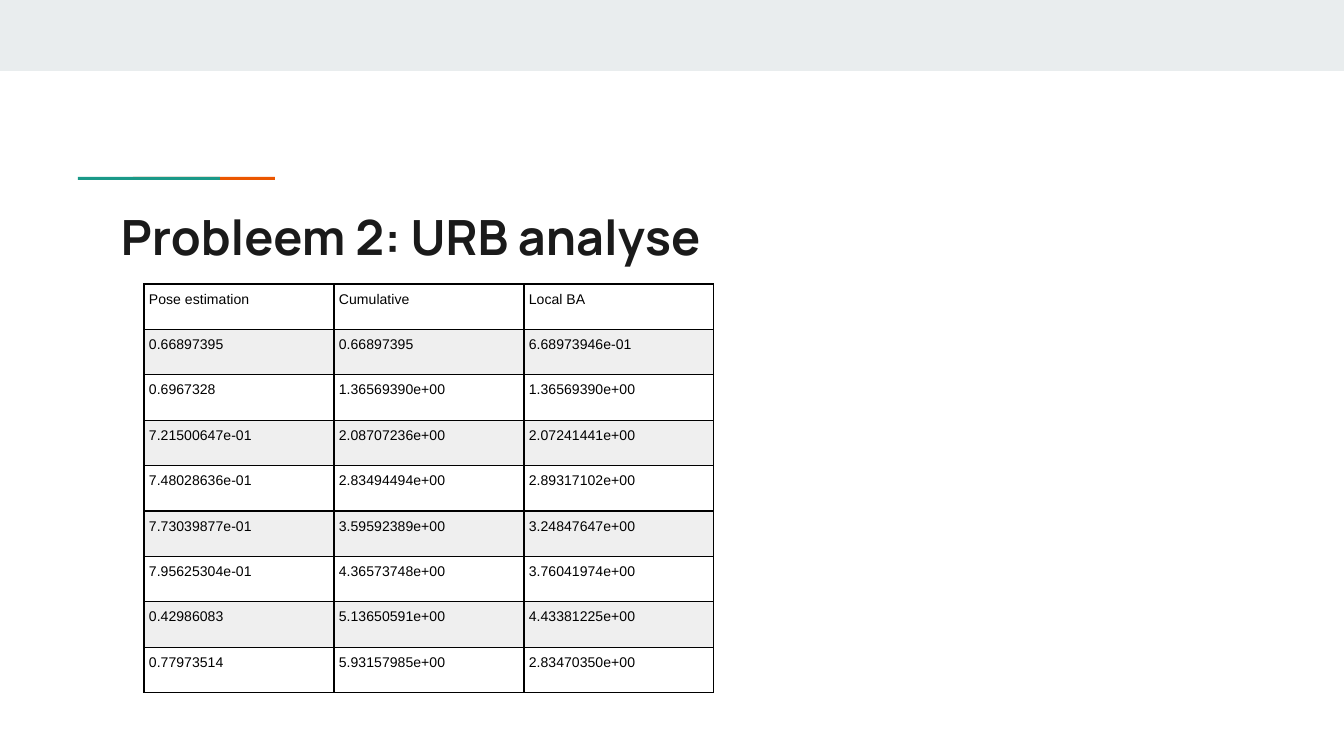
import pptx
import pptx.util
import pptx.dml.color
import pptx.enum.shapes
import pptx.enum.text
import pptx.oxml
import pptx.oxml.ns

# Content
TITLE = "Probleem 2: URB analyse"
ROWS = [
    ("Pose estimation", "Cumulative", "Local BA"),
    ("0.66897395", "0.66897395", "6.68973946e-01"),
    ("0.6967328", "1.36569390e+00", "1.36569390e+00"),
    ("7.21500647e-01", "2.08707236e+00", "2.07241441e+00"),
    ("7.48028636e-01", "2.83494494e+00", "2.89317102e+00"),
    ("7.73039877e-01", "3.59592389e+00", "3.24847647e+00"),
    ("7.95625304e-01", "4.36573748e+00", "3.76041974e+00"),
    ("0.42986083", "5.13650591e+00", "4.43381225e+00"),
    ("0.77973514", "5.93157985e+00", "2.83470350e+00"),
]
COLORS = {"band": "E9EDEE", "orange": "EB5600", "teal": "1A9988",
          "title": "1A1A1A", "text": "000000", "plain": "FFFFFF",
          "stripe": "EFEFEF", "border": "000000"}
# Name of colour, then left, top, width, height; teal overlaps orange
BARS = [("band", 0, 0, 1344, 71),
        ("orange", 133, 177, 142, 3),
        ("teal", 78, 177, 142, 3)]
SIZE = (1344, 756)
GRID = (144, 284, 570, 409)
SCALE = 914400 / 134.4


def px(n):
    return pptx.util.Emu(round(n * SCALE))


def color(name):
    return pptx.dml.color.RGBColor.from_string(COLORS[name])


def write(par, text, font, size, tint, bold=False):
    run = par.add_run()
    run.text = text
    run.font.name = font
    run.font.size = pptx.util.Pt(size)
    run.font.bold = bold
    run.font.color.rgb = color(tint)


def inset(box, gap):
    box.margin_left = box.margin_right = px(gap)
    box.margin_top = box.margin_bottom = px(gap)


def border(cell):
    props = cell._tc.get_or_add_tcPr()
    for i, side in enumerate(("lnL", "lnR", "lnT", "lnB")):
        props.insert(i, pptx.oxml.parse_xml(
            f'<a:{side} {pptx.oxml.ns.nsdecls("a")} w="9525"><a:solidFill>'
            f'<a:srgbClr val="{COLORS["border"]}"/></a:solidFill></a:{side}>'))


deck = pptx.Presentation()
deck.slide_width, deck.slide_height = map(px, SIZE)
slide = deck.slides.add_slide(deck.slide_layouts[6])

# Top band and accent line
for tint, *place in BARS:
    bar = slide.shapes.add_shape(
        pptx.enum.shapes.MSO_SHAPE.RECTANGLE, *map(px, place))
    bar.shadow.inherit = False
    bar.fill.solid()
    bar.fill.fore_color.rgb = color(tint)
    bar.line.fill.background()

# Title
frame = slide.shapes.add_textbox(*map(px, (108, 194, 1130, 79))).text_frame
frame.word_wrap = True
frame.vertical_anchor = pptx.enum.text.MSO_ANCHOR.TOP
inset(frame, 13)
write(frame.paragraphs[0], TITLE, "Manrope", 26, "title", True)

# Table with striped rows
table = slide.shapes.add_table(len(ROWS), len(ROWS[0]), *map(px, GRID)).table
table.first_row = table.horz_banding = False
for col in table.columns:
    col.width = px(GRID[2] / len(ROWS[0]))
for r, row in enumerate(ROWS):
    table.rows[r].height = px(GRID[3] / len(ROWS))
    for c, text in enumerate(row):
        cell = table.cell(r, c)
        inset(cell, 5)
        cell.fill.solid()
        cell.fill.fore_color.rgb = color("stripe" if r % 2 else "plain")
        border(cell)
        par = cell.text_frame.paragraphs[0]
        par.line_spacing = 1.15
        write(par, text, "Arial", 7.5, "text")

deck.save("out.pptx")
